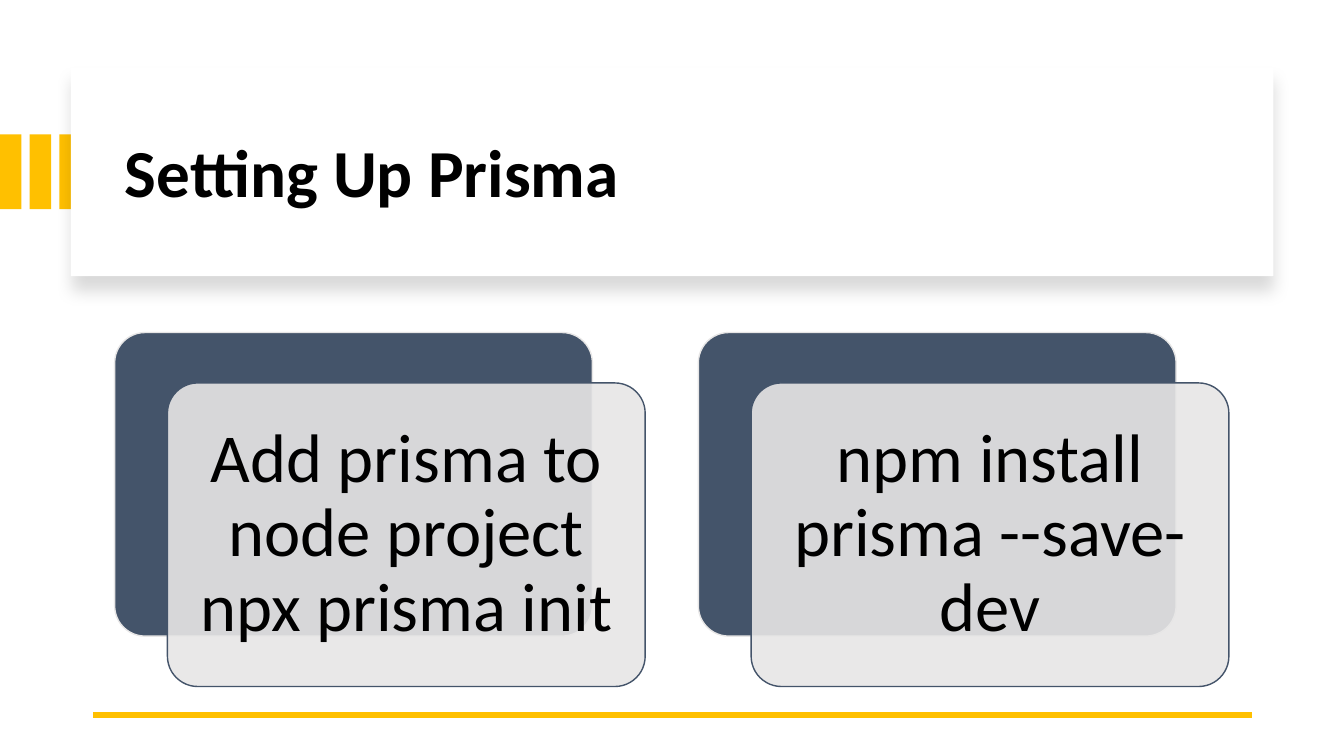
from dataclasses import dataclass

from lxml.etree import SubElement
from pptx import Presentation
from pptx.dml.color import RGBColor
from pptx.enum.shapes import MSO_CONNECTOR, MSO_SHAPE
from pptx.enum.text import MSO_ANCHOR, PP_ALIGN
from pptx.oxml.ns import qn
from pptx.shapes.autoshape import Shape
from pptx.slide import Slide
from pptx.text.text import TextFrame
from pptx.util import Cm, Pt

GOLD, WHITE, BLACK = "FFC000", "FFFFFF", "000000"
SLATE, PALE = "44546A", "E7E6E6"


@dataclass
class Box:
    left: float
    top: float
    width: float
    height: float

    def shifted(self, dx: float, dy: float) -> "Box":
        return Box(self.left + dx, self.top + dy, self.width, self.height)

    def lengths(self) -> tuple[Cm, Cm, Cm, Cm]:
        return Cm(self.left), Cm(self.top), Cm(self.width), Cm(self.height)


@dataclass
class Card:
    left: float
    text: str


CARDS = [
    Card(2.89, "Add prisma to node project npx prisma init"),
    Card(17.6, "npm install prisma --save-dev"),
]


def color(value: str) -> RGBColor:
    return RGBColor.from_string(value)


def add_block(s: Slide, kind: MSO_SHAPE, box: Box, fill: str, line: str | None = None) -> Shape:
    sp = s.shapes.add_shape(kind, *box.lengths())
    sp.shadow.inherit = False
    sp.fill.solid()
    sp.fill.fore_color.rgb = color(fill)
    if line:
        sp.line.color.rgb = color(line)
        sp.line.width = Pt(1)
    else:
        sp.line.fill.background()
    return sp


def add_shadow(sp: Shape) -> None:
    effects = sp._element.spPr.find(qn("a:effectLst"))
    shadow = SubElement(effects, qn("a:outerShdw"), blurRad=str(Pt(11)), dist=str(Pt(10)),
                        dir="5400000", algn="t", rotWithShape="0")
    shade = SubElement(shadow, qn("a:srgbClr"), val=BLACK)
    SubElement(shade, qn("a:alpha"), val="15000")


def write(tf: TextFrame, text: str, size: int, align: PP_ALIGN, bold: bool = False) -> None:
    tf.word_wrap = True
    tf.vertical_anchor = MSO_ANCHOR.MIDDLE
    p = tf.paragraphs[0]
    p.alignment = align
    p.line_spacing = 0.9
    r = p.add_run()
    r.text = text
    r.font.name = "Calibri"
    r.font.size = Pt(size)
    r.font.bold = bold
    r.font.color.rgb = color(BLACK)


def add_card(s: Slide, card: Card) -> None:
    back = Box(card.left, 8.38, 12.04, 7.65)
    sp = add_block(s, MSO_SHAPE.ROUNDED_RECTANGLE, back, SLATE, PALE)
    sp.adjustments[0] = 0.1

    front = back.shifted(1.33, 1.27)
    sp = add_block(s, MSO_SHAPE.ROUNDED_RECTANGLE, front, PALE, SLATE)
    sp.adjustments[0] = 0.1
    fill = sp._element.spPr.find(qn("a:solidFill"))
    SubElement(fill[0], qn("a:alpha"), val="90000")
    tf = sp.text_frame
    tf.margin_left = tf.margin_right = tf.margin_top = tf.margin_bottom = Cm(0.5)
    write(tf, card.text, 49, PP_ALIGN.CENTER)


def main() -> None:
    prs = Presentation()
    prs.slide_width, prs.slide_height = Cm(33.87), Cm(19.05)
    s = prs.slides.add_slide(prs.slide_layouts[6])

    # Stripes at the left edge
    for i in range(3):
        add_block(s, MSO_SHAPE.RECTANGLE, Box(0.75 * i, 3.39, 0.54, 1.88), GOLD)

    # Title panel
    panel = add_block(s, MSO_SHAPE.RECTANGLE, Box(1.79, 1.7, 30.3, 5.26), WHITE)
    add_shadow(panel)
    title = s.shapes.add_textbox(*Box(2.9, 2.26, 28.27, 4.32).lengths())
    write(title.text_frame, "Setting Up Prisma", 48, PP_ALIGN.LEFT, bold=True)

    # Bottom rule
    rule = s.shapes.add_connector(MSO_CONNECTOR.STRAIGHT, Cm(31.55), Cm(18.01), Cm(2.34), Cm(18.01))
    rule.line.color.rgb = color(GOLD)
    rule.line.width = Pt(4.5)
    SubElement(rule._element.spPr, qn("a:effectLst"))

    # Setup steps
    for card in CARDS:
        add_card(s, card)

    prs.save("out.pptx")


if __name__ == "__main__":
    main()
